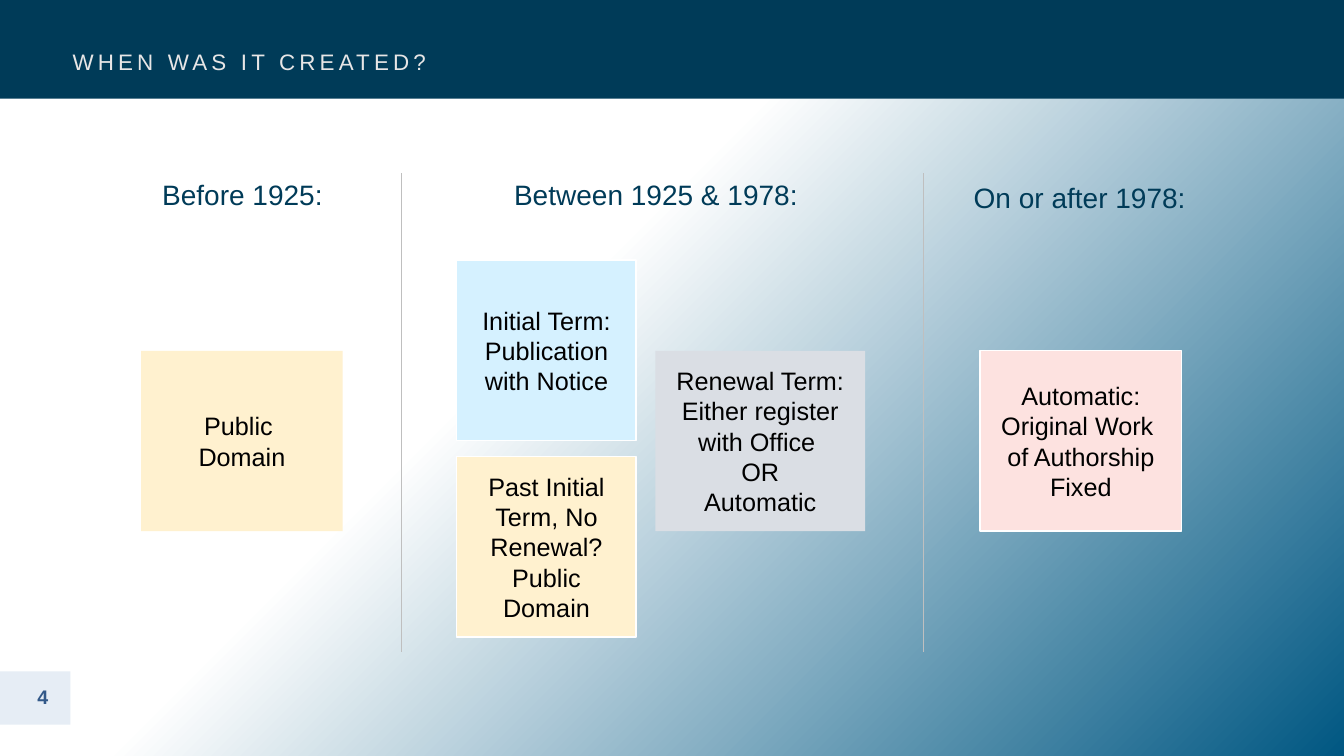
"""Build the slide on copyright rules by date of creation."""
from lxml import etree
from pptx import Presentation
from pptx.dml.color import RGBColor
from pptx.enum import shapes, text
from pptx.oxml import ns
from pptx.util import Inches, Pt

COLORS = {
    "navy": "003B58", "blue": "005782", "white": "FFFFFF", "black": "000000",
    "title": "E7E6E6", "number": "335989", "tab": "D9E4F1", "divider": "BFBFBF",
    "cream": "FFF1CF", "sky": "D5F1FF", "gray": "DADEE4", "pink": "FDE2E0",
}


def add_box(left, top, width, height, fill, outline=None):
    box = slide.shapes.add_shape(shapes.MSO_SHAPE.RECTANGLE, Inches(left),
                                 Inches(top), Inches(width), Inches(height))
    box.shadow.inherit = False
    box.fill.solid()
    box.fill.fore_color.rgb = RGBColor.from_string(COLORS[fill])
    if outline:
        box.line.color.rgb = RGBColor.from_string(COLORS[outline])
        box.line.width = Pt(1)
    else:
        box.line.fill.background()
    return box


def write(holder, words, size, color, align, anchor, bold=False):
    frame = holder.text_frame
    frame.text = words
    frame.word_wrap = True
    frame.vertical_anchor = anchor
    for paragraph in frame.paragraphs:
        paragraph.alignment = align
        for run in paragraph.runs:
            run.font.name = "Arial"
            run.font.size = Pt(size)
            run.font.bold = bold
            run.font.color.rgb = RGBColor.from_string(COLORS[color])


LEFT, CENTER = text.PP_ALIGN.LEFT, text.PP_ALIGN.CENTER
TOP, MIDDLE, BOTTOM = text.MSO_ANCHOR.TOP, text.MSO_ANCHOR.MIDDLE, text.MSO_ANCHOR.BOTTOM

prs = Presentation()
prs.slide_width, prs.slide_height = Inches(13.33), Inches(7.5)
slide = prs.slides.add_slide(prs.slide_layouts[5])

backdrop = slide.background.fill
backdrop.gradient()
backdrop.gradient_angle = 315
for stop, position, color in zip(backdrop.gradient_stops, (0.41, 1), ("white", "blue")):
    stop.position = position
    stop.color.rgb = RGBColor.from_string(COLORS[color])

add_box(0, 0, 13.33, 0.98, "navy")
number_tab = add_box(0, 6.66, 0.7, 0.53, "tab")
tab_color = number_tab.fill._xPr.find(".//" + ns.qn("a:srgbClr"))
etree.SubElement(tab_color, ns.qn("a:alpha"), val="65000")
number = slide.shapes.add_textbox(Inches(0.15), Inches(6.75), Inches(0.55), Inches(0.34))
write(number, "4", 14, "number", CENTER, TOP, bold=True)

title = slide.shapes.title
slide.shapes._spTree.append(title._element)
title.left, title.top, title.width, title.height = (
    Inches(0.62), Inches(0), Inches(12.05), Inches(0.8))
write(title, "WHEN WAS IT CREATED?", 16, "title", LEFT, BOTTOM)
title_line = title.text_frame.paragraphs[0]
title_line.line_spacing = 0.9
title_line.runs[0].font._element.set("spc", "300")

for left, top, width, period, align in (
    (1.44, 1.71, 1.93, "Before 1925:", CENTER),
    (5, 1.71, 3.1, "Between 1925 & 1978:", LEFT),
    (9.53, 1.74, 2.36, "On or after 1978:", CENTER),
):
    heading = slide.shapes.add_textbox(Inches(left), Inches(top), Inches(width), Inches(0.57))
    write(heading, period, 20, "navy", align, TOP)

for x in (3.98, 9.16):
    divider = slide.shapes.add_connector(shapes.MSO_CONNECTOR.STRAIGHT, Inches(x),
                                         Inches(1.72), Inches(x), Inches(6.47))
    divider.line.color.rgb = RGBColor.from_string(COLORS["divider"])
    divider.line.width = Pt(0.5)
    etree.SubElement(divider._element.spPr, ns.qn("a:effectLst"))

for left, top, width, fill, outline, rule in (
    (1.4, 3.48, 2, "cream", None, "Public \vDomain"),
    (4.53, 2.58, 1.78, "sky", "white", "Initial Term:\nPublication with Notice"),
    (4.53, 4.53, 1.78, "cream", "white", "Past Initial Term, No Renewal?\nPublic Domain"),
    (6.5, 3.48, 2.08, "gray", None,
     "Renewal Term:\nEither register with Office \vOR\vAutomatic"),
    (9.72, 3.48, 2, "pink", "white", "Automatic:\nOriginal Work \vof Authorship Fixed"),
):
    card = add_box(left, top, width, 1.79, fill, outline)
    write(card, rule, 18, "black", CENTER, MIDDLE)

prs.save("out.pptx")
